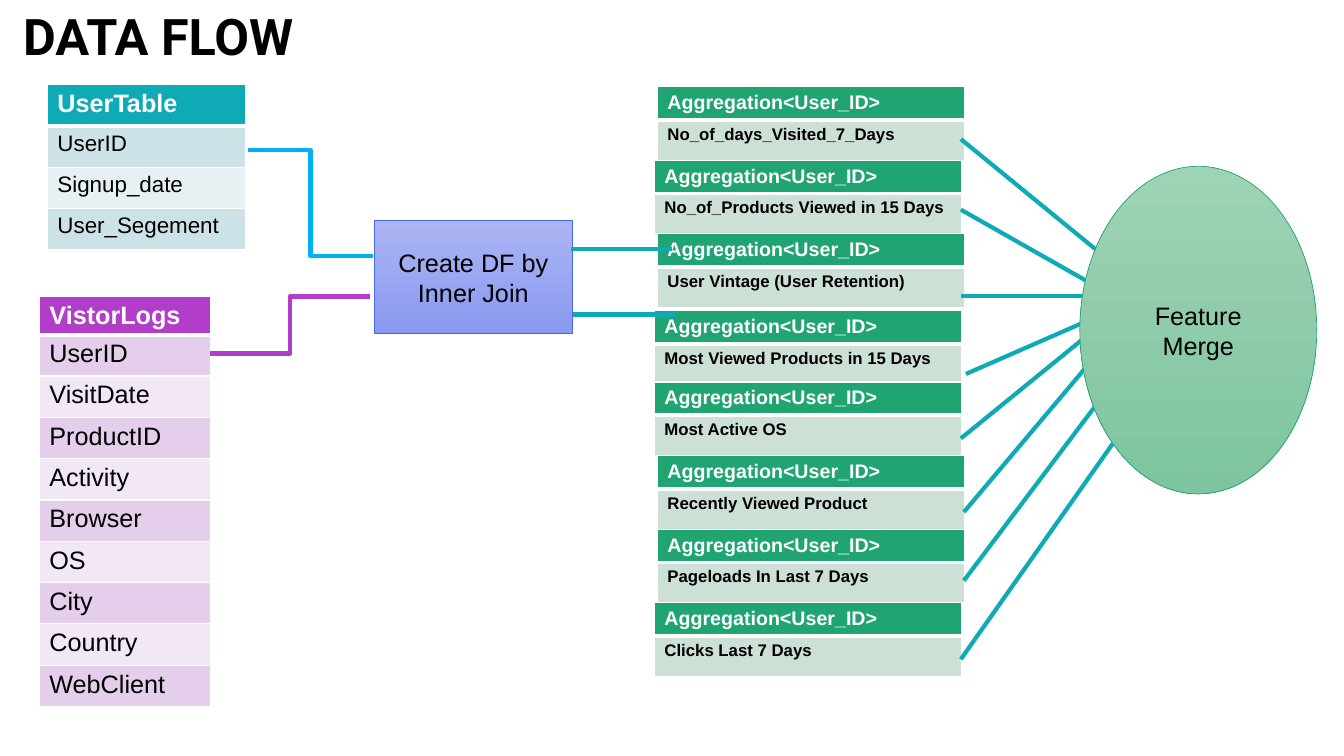
"""Build the data flow slide."""
import pptx
import pptx.dml.color
import pptx.enum.shapes
import pptx.enum.text
import pptx.oxml
import pptx.oxml.ns
import pptx.util

Inches = pptx.util.Inches
Pt = pptx.util.Pt
SHAPES = pptx.enum.shapes.MSO_SHAPE
CONNECTORS = pptx.enum.shapes.MSO_CONNECTOR
ALIGN = pptx.enum.text.PP_ALIGN
MIDDLE = pptx.enum.text.MSO_ANCHOR.MIDDLE

COLORS = {
    "white": "FFFFFF", "black": "000000", "blue": "00B0F0",
    "teal": "0EABB7", "teal_mid": "CCE2E6", "teal_pale": "E7F1F3",
    "purple": "B13DC8", "purple_mid": "E4CEEB", "purple_pale": "F2E8F5",
    "green": "20A472", "green_mid": "CDE0D5",
    "join_top": "ABB5F3", "join_bottom": "8A99F1", "join_line": "4868E5",
    "merge_top": "9FD3B6", "merge_bottom": "7DC49F",
}

USER_FIELDS = ["UserTable", "UserID", "Signup_date", "User_Segement"]
LOG_FIELDS = ["VistorLogs", "UserID", "VisitDate", "ProductID", "Activity",
              "Browser", "OS", "City", "Country", "WebClient"]

AGGREGATIONS = [
    (6.52, 0.86, "No_of_days_Visited_7_Days"),
    (6.49, 1.59, "No_of_Products Viewed in 15 Days"),
    (6.52, 2.32, "User Vintage (User Retention)"),
    (6.49, 3.08, "Most Viewed Products in 15 Days"),
    (6.49, 3.79, "Most Active OS"),
    (6.52, 4.52, "Recently Viewed Product"),
    (6.52, 5.25, "Pageloads In Last 7 Days"),
    (6.49, 5.98, "Clicks Last 7 Days"),
]

FLOW_LINES = [
    ((5.68, 3.12), (6.69, 3.12)),
    ((5.66, 2.47), (6.67, 2.47)),
    ((9.53, 2.94), (10.77, 2.94)),
    ((9.53, 1.38), (10.96, 2.55)),
    ((9.53, 6.54), (11.27, 4.07)),
    ((9.58, 3.71), (10.93, 3.12)),
    ((9.53, 2.08), (10.87, 2.84)),
    ((9.53, 4.35), (10.77, 3.34)),
    ((9.56, 5.08), (10.96, 3.42)),
    ((9.56, 5.76), (11.11, 3.7)),
]


def rgb(name):
    return pptx.dml.color.RGBColor.from_string(COLORS[name])


def write(frame, text, size=18, color="black", bold=False, font="Arial",
          align=ALIGN.LEFT):
    para = frame.paragraphs[0]
    para.alignment = align
    span = para.add_run()
    span.text = text
    span.font.size = Pt(size)
    span.font.bold = bold
    span.font.name = font
    span.font.color.rgb = rgb(color)
    return para


def add_borders(cell, bottom):
    properties = cell._tc.get_or_add_tcPr()
    for side, width in (("L", 1), ("R", 1), ("T", 1), ("B", bottom)):
        properties.append(pptx.oxml.parse_xml(
            f'<a:ln{side} {pptx.oxml.ns.nsdecls("a")} w="{Pt(width)}">'
            f'<a:solidFill><a:srgbClr val="{COLORS["white"]}"/></a:solidFill>'
            f'</a:ln{side}>'))


def add_field_table(page, left, top, width, rows, heights, fills,
                    head_size=18, body_size=18, body_bold=False):
    """Stack the rows under a header, cycling the body through fills[1:]."""
    frame = page.shapes.add_table(len(rows), 1, Inches(left), Inches(top),
                                  Inches(width), Inches(sum(heights)))
    table = frame.table
    table.horz_banding = False
    for index, (text, height) in enumerate(zip(rows, heights)):
        is_head = index == 0
        table.rows[index].height = Inches(height)
        cell = table.cell(index, 0)
        add_borders(cell, bottom=3 if is_head else 1)
        bands = fills[1:]
        cell.fill.solid()
        cell.fill.fore_color.rgb = rgb(
            fills[0] if is_head else bands[(index - 1) % len(bands)])
        write(cell.text_frame, text,
              size=head_size if is_head else body_size,
              color="white" if is_head else "black",
              bold=is_head or body_bold)


def add_step(page, kind, left, top, width, height, text, top_color,
             bottom_color, line_color):
    box = page.shapes.add_shape(kind, Inches(left), Inches(top),
                                Inches(width), Inches(height))
    box.shadow.inherit = False
    box.fill.gradient()
    box.fill.gradient_angle = 270
    for stop, color in zip(box.fill.gradient_stops, (top_color, bottom_color)):
        stop.color.rgb = rgb(color)
    box.line.color.rgb = rgb(line_color)
    box.line.width = Pt(0.5)
    box.text_frame.word_wrap = True
    box.text_frame.vertical_anchor = MIDDLE
    write(box.text_frame, text, align=ALIGN.CENTER)


def add_link(page, start, end, color="teal", width=3,
             kind=CONNECTORS.STRAIGHT):
    points = [Inches(value) for value in (*start, *end)]
    link = page.shapes.add_connector(kind, *points)
    link.line.color.rgb = rgb(color)
    link.line.width = Pt(width)
    link._element.spPr.append(pptx.oxml.parse_xml(
        f'<a:effectLst {pptx.oxml.ns.nsdecls("a")}/>'))


def add_title(page, text):
    title = page.shapes.title
    title.left, title.top = Inches(-1.89), Inches(0.04)
    title.width, title.height = Inches(6.92), Inches(0.69)
    title.text_frame.vertical_anchor = MIDDLE
    para = write(title.text_frame, text, size=36, bold=True, font="Roboto",
                 align=ALIGN.CENTER)
    para.line_spacing = 0.9


def main():
    deck = pptx.Presentation()
    deck.slide_width, deck.slide_height = Inches(13.33), Inches(7.5)
    page = deck.slides.add_slide(deck.slide_layouts[5])
    add_title(page, "DATA FLOW")

    add_field_table(page, 0.47, 0.84, 1.97, USER_FIELDS, [0.41] * 4,
                    ["teal", "teal_mid", "teal_pale"], body_size=16)
    add_field_table(page, 0.39, 2.94, 1.7, LOG_FIELDS, [0.35] + [0.41] * 9,
                    ["purple", "purple_mid", "purple_pale"])
    add_link(page, (2.46, 1.49), (3.7, 2.54), color="blue",
             kind=CONNECTORS.ELBOW)
    add_link(page, (2.08, 3.51), (3.67, 2.94), color="purple", width=3.25,
             kind=CONNECTORS.ELBOW)
    add_step(page, SHAPES.RECTANGLE, 3.71, 2.19, 1.97, 1.12,
             "Create DF by Inner Join", "join_top", "join_bottom", "join_line")

    for left, top, feature in AGGREGATIONS:
        add_field_table(page, left, top, 3.05,
                        ["Aggregation<User_ID>", feature], [0.33, 0.4],
                        ["green", "green_mid"], head_size=14, body_size=12,
                        body_bold=True)
    for start, end in FLOW_LINES:
        add_link(page, start, end)
    add_step(page, SHAPES.OVAL, 10.71, 1.65, 2.35, 3.25, "Feature Merge",
             "merge_top", "merge_bottom", "green")
    deck.save("out.pptx")


main()
